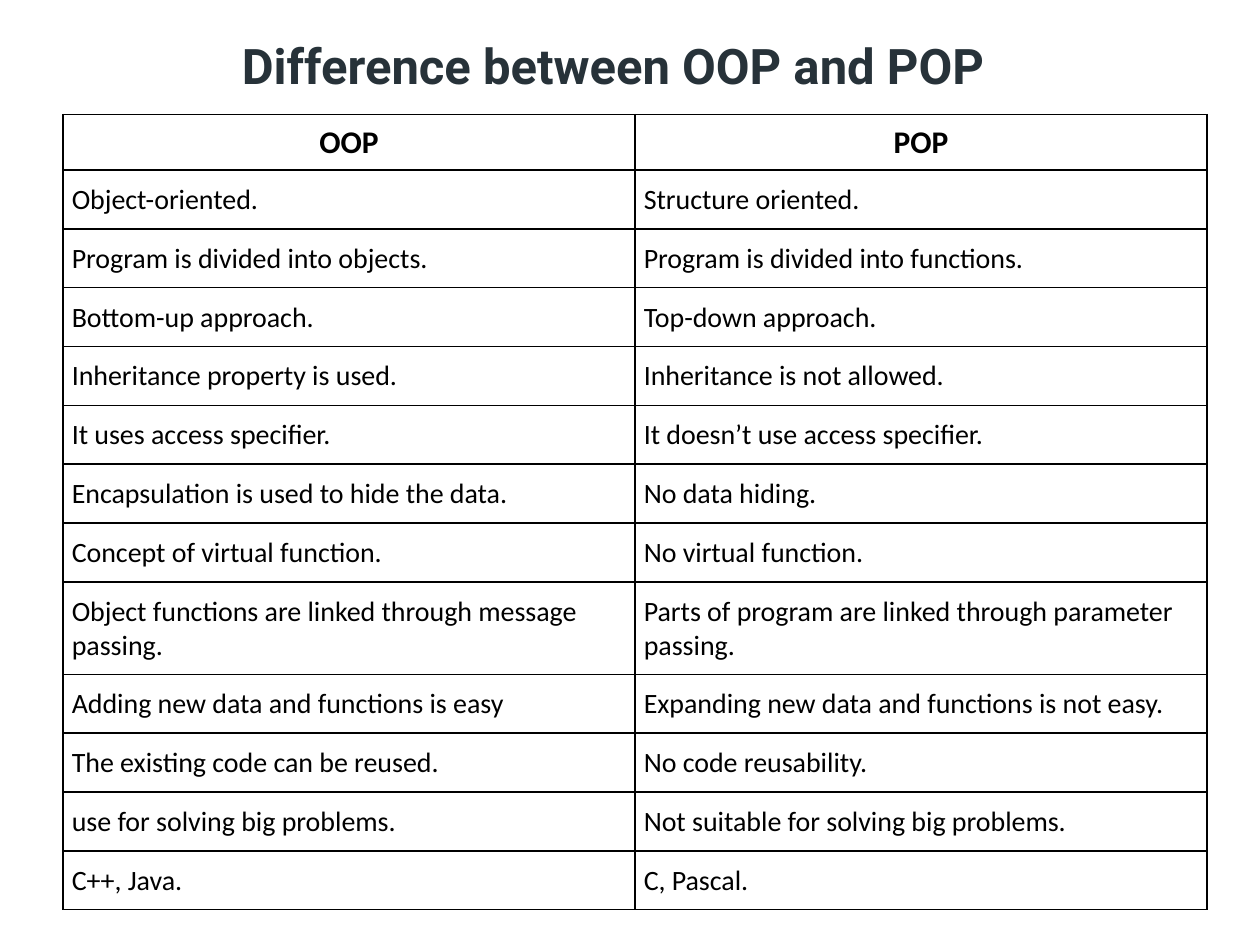
"""Build a slide that compares OOP and POP in a two-column table."""
import dataclasses

import lxml.etree
import pptx
import pptx.dml.color
import pptx.enum.shapes
import pptx.enum.text
import pptx.oxml.ns
import pptx.util

Inches = pptx.util.Inches
Align = pptx.enum.text.PP_ALIGN
Middle = pptx.enum.text.MSO_ANCHOR.MIDDLE


@dataclasses.dataclass
class Theme:
    white: str = "FFFFFF"
    black: str = "000000"
    slate: str = "273239"
    title_font: str = "Roboto"
    table_font: str = "Calibri"
    title_size: int = 28
    head_size: int = 18
    body_size: int = 16
    border: int = 1


class Deck:
    def __init__(self, theme, slide):
        self.theme = theme
        self.slide = slide

    def style(self, para, name, size, color, bold, align):
        para.alignment = align
        for run in para.runs:
            run.font.name = name
            run.font.size = pptx.util.Pt(size)
            run.font.bold = bold
            run.font.color.rgb = pptx.dml.color.RGBColor.from_string(color)

    def title(self, text, left, top, width, height):
        look = self.theme
        box = self.slide.shapes.add_shape(
            pptx.enum.shapes.MSO_SHAPE.RECTANGLE,
            Inches(left), Inches(top), Inches(width), Inches(height))
        box.shadow.inherit = False
        box.fill.solid()
        box.fill.fore_color.rgb = pptx.dml.color.RGBColor.from_string(look.white)
        box.line.fill.background()
        frame = box.text_frame
        frame.text = text
        frame.word_wrap = True
        frame.auto_size = pptx.enum.text.MSO_AUTO_SIZE.SHAPE_TO_FIT_TEXT
        frame.vertical_anchor = Middle
        frame.margin_left = frame.margin_right = 0
        frame.margin_top = frame.margin_bottom = 0
        self.style(frame.paragraphs[0], look.title_font, look.title_size,
                   look.slate, True, Align.LEFT)

    def edges(self, cell):
        name = pptx.oxml.ns.qn
        props = cell._tc.get_or_add_tcPr()
        width = str(pptx.util.Pt(self.theme.border))
        for place, side in enumerate(("a:lnL", "a:lnR", "a:lnT", "a:lnB")):
            line = lxml.etree.Element(name(side), w=width)
            fill = lxml.etree.SubElement(line, name("a:solidFill"))
            lxml.etree.SubElement(fill, name("a:srgbClr"), val=self.theme.black)
            props.insert(place, line)

    def cell(self, cell, text, head, side):
        look = self.theme
        cell.text = text
        cell.vertical_anchor = Middle
        cell.margin_left = cell.margin_right = Inches(side)
        cell.margin_top = cell.margin_bottom = Inches(0.07 if head else 0.1)
        cell.fill.background()
        self.edges(cell)
        self.style(cell.text_frame.paragraphs[0], look.table_font,
                   look.head_size if head else look.body_size,
                   look.black, head, Align.CENTER if head else Align.LEFT)

    def table(self, rows, left, top, width, height, row_height):
        frame = self.slide.shapes.add_table(
            len(rows), len(rows[0]),
            Inches(left), Inches(top), Inches(width), Inches(height))
        table = frame.table
        table.first_row = table.horz_banding = False
        for index, texts in enumerate(rows):
            table.rows[index].height = Inches(row_height)
            for column, text in enumerate(texts):
                head = index == 0
                side = 0.04 if head and column == 0 else 0.07
                self.cell(table.cell(index, column), text, head, side)
        frame.height = Inches(height)


ROWS = [
    ("OOP", "POP"),
    ("Object-oriented.", "Structure oriented."),
    ("Program is divided into objects.", "Program is divided into functions."),
    ("Bottom-up approach.", "Top-down approach."),
    ("Inheritance property is used.", "Inheritance is not allowed."),
    ("It uses access specifier.", "It doesn’t use access specifier."),
    ("Encapsulation is used to hide the data.", "No data hiding."),
    ("Concept of virtual function.", "No virtual function."),
    ("Object functions are linked through message passing.",
     "Parts of program are linked through parameter passing."),
    ("Adding new data and functions is easy",
     "Expanding new data and functions is not easy."),
    ("The existing code can be reused.", "No code reusability."),
    ("use for solving big problems.", "Not suitable for solving big problems."),
    ("C++, Java.", "C, Pascal."),
]


def main():
    show = pptx.Presentation()
    show.slide_width = Inches(10)
    show.slide_height = Inches(7.5)
    deck = Deck(Theme(), show.slides.add_slide(show.slide_layouts[6]))
    deck.title("Difference between OOP and POP", 1.92, 0.28, 6.42, 0.47)
    deck.table(ROWS, 0.5, 0.91, 9.08, 6.34, 0.41)
    show.save("out.pptx")


if __name__ == "__main__":
    main()
